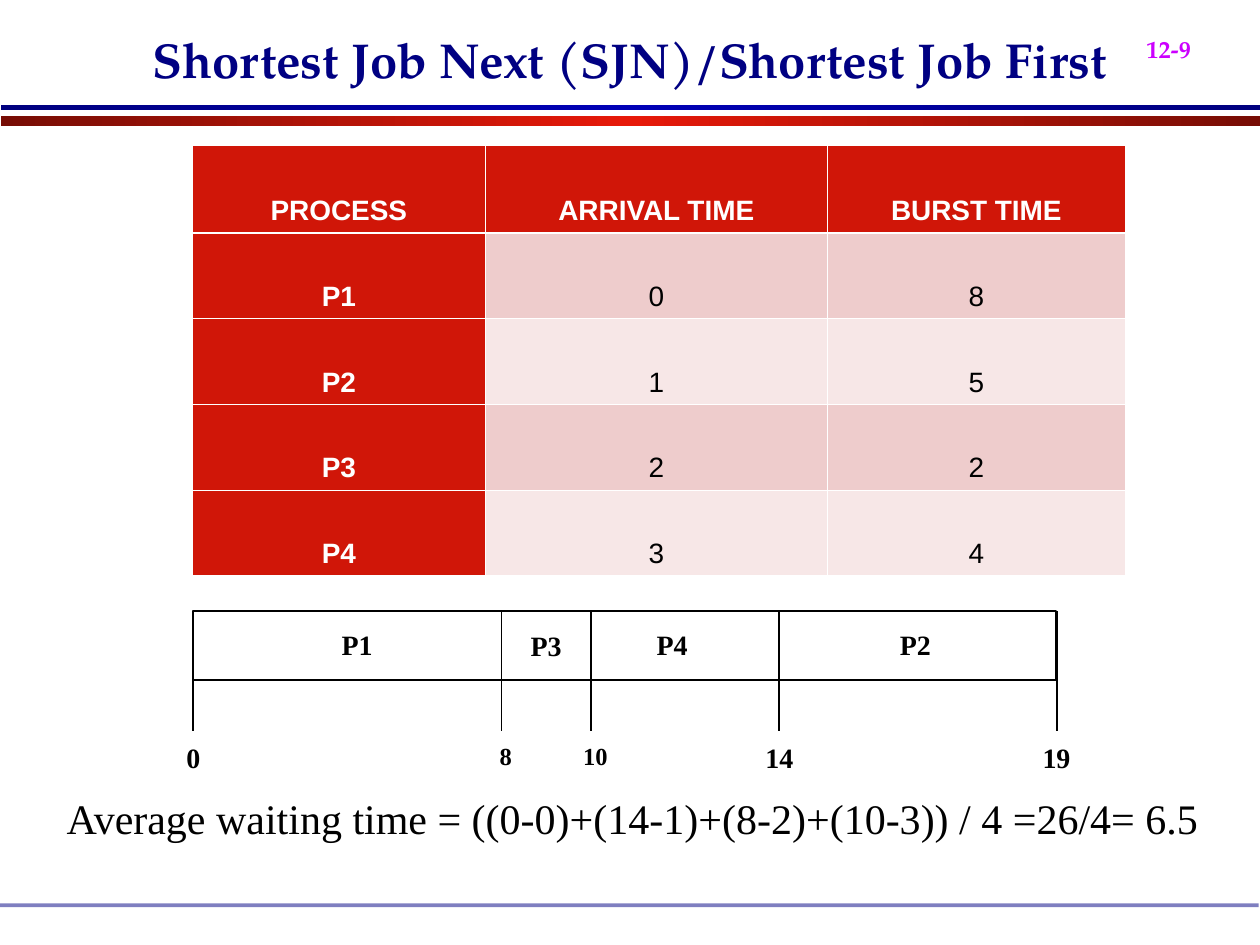
from copy import deepcopy
from typing import NamedTuple

from lxml import etree
from pptx import Presentation
from pptx.dml.color import RGBColor
from pptx.enum.shapes import MSO_CONNECTOR, MSO_SHAPE
from pptx.enum.text import MSO_ANCHOR, PP_ALIGN
from pptx.oxml.ns import qn
from pptx.util import Inches, Pt

RECTANGLE = MSO_SHAPE.RECTANGLE
STRAIGHT = MSO_CONNECTOR.STRAIGHT
LEFT, CENTER = PP_ALIGN.LEFT, PP_ALIGN.CENTER
TOP, BOTTOM = MSO_ANCHOR.TOP, MSO_ANCHOR.BOTTOM
SERIF, TITLE_FONT, SANS = "Times New Roman", "TeX Gyre Pagella", "Arial"
COLORS = {
    "navy": "000082", "dark blue": "00007F", "blue": "0000B6",
    "dark red": "770D05", "bright red": "E71909", "red": "D01608",
    "pink": "EECCCC", "pale pink": "F7E7E7", "magenta": "CC00FF",
    "black": "000000", "white": "FFFFFF",
}


class Label(NamedTuple):
    text: str
    left: float
    top: float
    width: float = 0.71
    height: float = 0.37
    size: int = 16
    font: str = SERIF
    color: str = "black"
    bold: bool = True
    align: PP_ALIGN = CENTER
    anchor: MSO_ANCHOR = TOP
    space_before: int = 0
    baseline: int = 0


class Band(NamedTuple):
    top: float
    height: float
    edge: str
    middle: str


class Tick(NamedTuple):
    time: str
    left: float
    label_left: float
    size: int = 16


BANDS = [Band(0.92, 0.08, "dark red", "bright red"), Band(0.83, 0.04, "dark blue", "blue")]
HEADINGS = ["PROCESS", "ARRIVAL TIME", "BURST TIME"]
PROCESSES = [("P1", "0", "8"), ("P2", "1", "5"), ("P3", "2", "2"), ("P4", "3", "4")]
COLUMN_WIDTHS = [2.32, 2.72, 2.36]
ROW_HEIGHTS = [0.7] + [0.68] * len(PROCESSES)
BAR_LEFT, BAR_TOP, BAR_WIDTH, BAR_HEIGHT = 1.53, 4.85, 6.85, 0.55
TICK_BOTTOM, TIME_TOP = 5.8, 5.83
TICKS = [
    Tick("0", 1.53, 1.18), Tick("8", 3.98, 3.66, 14), Tick("10", 4.69, 4.37, 14),
    Tick("14", 6.18, 5.83), Tick("19", 8.39, 8.03),
]
LABELS = [
    Label("12-9", 9, 0, 1.08, 0.56, 24, TITLE_FONT, "magenta",
          align=LEFT, space_before=15, baseline=-25),
    Label("Shortest Job Next (SJN)/Shortest Job First", 0.75, 0, 8.5, 0.75, 28,
          TITLE_FONT, "navy", anchor=BOTTOM),
    Label("P1", 2.48, 4.93), Label("P3", 3.98, 4.94),
    Label("P4", 4.98, 4.93), Label("P2", 6.91, 4.93),
    *(Label(tick.time, tick.label_left, TIME_TOP, size=tick.size) for tick in TICKS),
    Label("Average waiting time = ((0-0)+(14-1)+(8-2)+(10-3)) / 4 =26/4= 6.5",
          0.43, 6.24, 9.21, 0.5, 24, bold=False, align=LEFT),
]


def rgb(name: str) -> RGBColor:
    """Look up a named colour."""
    return RGBColor.from_string(COLORS[name])


def style_run(para, size: int, font: str, color: str, bold: bool) -> None:
    """Format the single run of a paragraph."""
    face = para.runs[0].font
    face.size, face.name, face.bold = Pt(size), font, bold
    face.color.rgb = rgb(color)


def add_rectangle(page, left: float, top: float, width: float, height: float):
    """Add a rectangle without shadow or outline."""
    box = page.shapes.add_shape(RECTANGLE, Inches(left), Inches(top), Inches(width), Inches(height))
    box.shadow.inherit = False
    box.line.fill.background()
    return box


def add_band(page, band: Band) -> None:
    """Add a horizontal bar whose colour peaks in the middle."""
    box = add_rectangle(page, 0.01, band.top, 9.99, band.height)
    box.fill.gradient()
    box.fill.gradient_angle = 0
    stop_list = next(box.fill._xPr.iter(qn("a:gsLst")))
    stop_list.insert(1, deepcopy(stop_list[0]))
    for stop, position, color in zip(
        box.fill.gradient_stops, (0, 0.5, 1), (band.edge, band.middle, band.edge)
    ):
        stop.position = position
        stop.color.rgb = rgb(color)


def add_footer_rule(page) -> None:
    """Add the half-transparent rule at the foot."""
    box = add_rectangle(page, 0, 7.17, 9.99, 0.03)
    box.fill.solid()
    box.fill.fore_color.rgb = rgb("navy")
    color = next(box._element.spPr.iter(qn("a:srgbClr")))
    etree.SubElement(color, qn("a:alpha"), val="50000")


def add_label(page, label: Label) -> None:
    """Add one line of text."""
    box = page.shapes.add_textbox(
        Inches(label.left), Inches(label.top), Inches(label.width), Inches(label.height)
    )
    frame = box.text_frame
    frame.text = label.text
    frame.word_wrap = True
    frame.vertical_anchor = label.anchor
    para = frame.paragraphs[0]
    para.alignment = label.align
    para.space_before = Pt(label.space_before)
    style_run(para, label.size, label.font, label.color, label.bold)
    if label.baseline:
        para.runs[0].font._element.set("baseline", str(label.baseline * 1000))


def set_borders(cell, top: float, bottom: float) -> None:
    """Give a cell white borders, with chosen top and bottom widths."""
    properties = cell._tc.get_or_add_tcPr()
    sides = {"L": 0.45, "R": 0.45, "T": top, "B": bottom}
    for index, (side, width) in enumerate(sides.items()):
        line = etree.Element(qn(f"a:ln{side}"), w=str(Pt(width)))
        fill = etree.SubElement(line, qn("a:solidFill"))
        etree.SubElement(fill, qn("a:srgbClr"), val=COLORS["white"])
        properties.insert(index, line)


def add_process_table(page) -> None:
    """Add the table of arrival and burst times."""
    rows = [HEADINGS, *PROCESSES]
    table = page.shapes.add_table(
        len(rows), len(HEADINGS), Inches(1.53), Inches(1.15),
        Inches(sum(COLUMN_WIDTHS)), Inches(sum(ROW_HEIGHTS)),
    ).table
    for column, width in zip(table.columns, COLUMN_WIDTHS):
        column.width = Inches(width)
    for row_index, values in enumerate(rows):
        table.rows[row_index].height = Inches(ROW_HEIGHTS[row_index])
        for column_index, value in enumerate(values):
            cell = table.cell(row_index, column_index)
            is_heading = row_index == 0 or column_index == 0
            stripe = "pink" if row_index % 2 else "pale pink"
            cell.fill.solid()
            cell.fill.fore_color.rgb = rgb("red" if is_heading else stripe)
            cell.vertical_anchor = BOTTOM
            cell.margin_left = cell.margin_right = Inches(0.15 if row_index else 0.08)
            set_borders(cell, 1.47 if row_index == 1 else 0.45, 0.45 if row_index else 1.47)
            cell.text_frame.text = value
            para = cell.text_frame.paragraphs[0]
            para.alignment = CENTER
            para.line_spacing = 2.0
            style_run(para, 16, SANS, "white" if is_heading else "black", is_heading)


def add_gantt_bar(page) -> None:
    """Add the schedule bar and its time ticks."""
    bar = add_rectangle(page, BAR_LEFT, BAR_TOP, BAR_WIDTH, BAR_HEIGHT)
    bar.fill.solid()
    bar.fill.fore_color.rgb = rgb("white")
    bar.line.color.rgb = rgb("black")
    bar.line.width = Pt(1)
    for tick in TICKS:
        line = page.shapes.add_connector(
            STRAIGHT, Inches(tick.left), Inches(BAR_TOP), Inches(tick.left), Inches(TICK_BOTTOM)
        )
        line.line.color.rgb = rgb("black")
        line.line.width = Pt(1)
        etree.SubElement(line._element.spPr, qn("a:effectLst"))


def main() -> None:
    """Build and save the slide."""
    deck = Presentation()
    deck.slide_width, deck.slide_height = Inches(10), Inches(7.5)
    page = deck.slides.add_slide(deck.slide_layouts[6])
    for band in BANDS:
        add_band(page, band)
    add_footer_rule(page)
    add_process_table(page)
    add_gantt_bar(page)
    for label in LABELS:
        add_label(page, label)
    deck.save("out.pptx")


if __name__ == "__main__":
    main()
